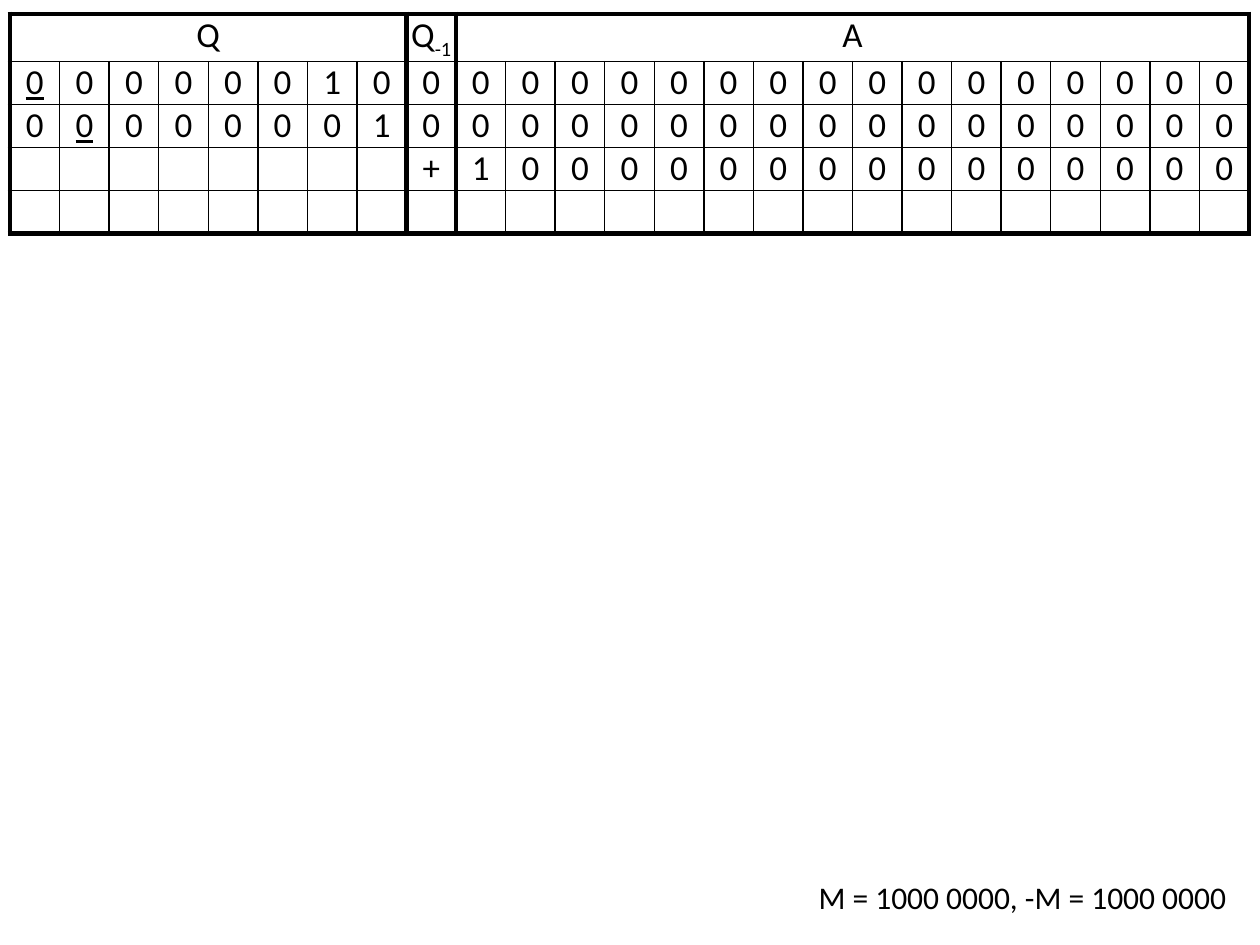
from lxml import etree
from pptx import Presentation
from pptx.dml.color import RGBColor
from pptx.enum.text import MSO_AUTO_SIZE, PP_ALIGN
from pptx.oxml.ns import qn
from pptx.util import Pt

CENTER, RIGHT = PP_ALIGN.CENTER, PP_ALIGN.RIGHT
FIT_SHAPE = MSO_AUTO_SIZE.SHAPE_TO_FIT_TEXT

# Register name, subscript, number of bits
REGISTERS = [("Q", "", 8), ("Q", "-1", 1), ("A", "", 16)]
STEPS = [
    ["00000010", "0", "0000000000000000"],
    ["00000001", "0", "0000000000000000"],
    ["", "+", "1000000000000000"],
    ["", "", ""],
]
UNDERLINED = {(1, 0), (2, 1)}
MULTIPLICAND = "M = 1000 0000, -M = 1000 0000"

THEME = {"font": "Calibri", "ink": "000000", "table_size": 20, "note_size": 18,
         "thin": 1, "thick": 3}

PIXEL = 914400 // 126
PAGE = (1260, 945)
TABLE_BOX = (10, 14, 1239, 200)
NOTE_BOX = (756, 872, 483, 50)


def px(*lengths):
    """Turn picture pixels into EMU."""
    return [round(length * PIXEL) for length in lengths]


def add_span(para, text, size):
    """Add a run in the theme font and colour."""
    span = para.add_run()
    span.text = text
    span.font.name = THEME["font"]
    span.font.size = Pt(size)
    span.font.color.rgb = RGBColor.from_string(THEME["ink"])
    return span


def set_borders(cell, thick_sides):
    """Draw the four cell borders, thick on the given sides."""
    properties = cell._tc.get_or_add_tcPr()
    for index, side in enumerate("LRTB"):
        weight = THEME["thick" if side in thick_sides else "thin"]
        line = etree.Element(qn(f"a:ln{side}"), w=str(Pt(weight)))
        fill = etree.SubElement(line, qn("a:solidFill"))
        etree.SubElement(fill, qn("a:srgbClr"), val=THEME["ink"])
        properties.insert(index, line)


def add_register_table(page):
    """Build the table of register contents, one bit per column."""
    row_count = len(STEPS) + 1
    column_count = sum(bits for _, _, bits in REGISTERS)
    table = page.shapes.add_table(row_count, column_count, *px(*TABLE_BOX)).table
    table.first_row = table.horz_banding = False
    for column in table.columns:
        column.width = px(TABLE_BOX[2] / column_count)[0]
    for row in table.rows:
        row.height = px(TABLE_BOX[3] / row_count)[0]

    starts = [sum(bits for _, _, bits in REGISTERS[:i]) for i in range(len(REGISTERS))]
    edges = {*starts, column_count}
    texts = {}
    for start, (name, subscript, bits) in zip(starts, REGISTERS):
        texts[0, start] = (name, subscript)
        if bits > 1:
            table.cell(0, start).merge(table.cell(0, start + bits - 1))
    for r, step in enumerate(STEPS, 1):
        for start, digits in zip(starts, step):
            texts.update({(r, start + i): (digit, "") for i, digit in enumerate(digits)})

    for r in range(row_count):
        for c in range(column_count):
            cell = table.cell(r, c)
            cell.margin_left = cell.margin_right = 0
            cell.margin_top = cell.margin_bottom = 0
            cell.fill.background()
            thick = {"L": c in edges or r == 0, "R": c + 1 in edges or r == 0,
                     "T": r == 0, "B": r + 1 == row_count}
            set_borders(cell, {side for side in thick if thick[side]})
            fill_cell(cell, *texts.get((r, c), ("", "")), (r, c) in UNDERLINED)


def fill_cell(cell, text, subscript, underlined):
    """Write centred text, or keep an empty cell at the table type size."""
    para = cell.text_frame.paragraphs[0]
    para.alignment = CENTER
    size = THEME["table_size"]
    if not text:
        etree.SubElement(para._p, qn("a:endParaRPr"), sz=str(size * 100))
        return
    span = add_span(para, text, size)
    if underlined:
        span.font.underline = True
    if subscript:
        span = add_span(para, subscript, size)
        span._r.get_or_add_rPr().set("baseline", "-25000")


def add_note(page):
    """Add the multiplicand values at the lower right."""
    frame = page.shapes.add_textbox(*px(*NOTE_BOX)).text_frame
    frame.word_wrap = True
    frame.auto_size = FIT_SHAPE
    para = frame.paragraphs[0]
    para.alignment = RIGHT
    add_span(para, MULTIPLICAND, THEME["note_size"])


deck = Presentation()
deck.slide_width, deck.slide_height = px(*PAGE)
page = deck.slides.add_slide(deck.slide_layouts[6])
add_register_table(page)
add_note(page)
deck.save("out.pptx")
